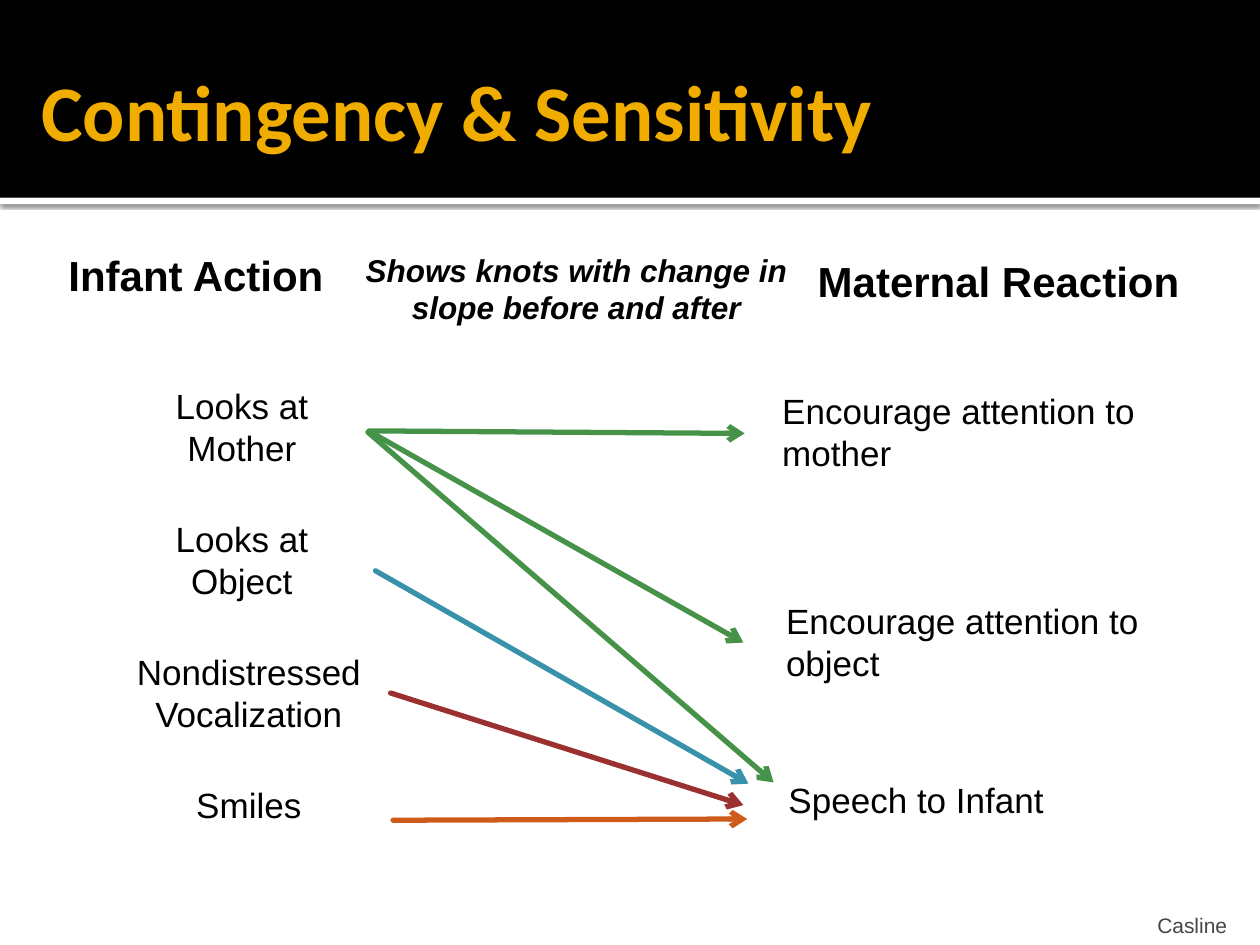
from dataclasses import dataclass

from lxml import etree
from pptx import Presentation
from pptx.dml.color import RGBColor
from pptx.enum.shapes import MSO_CONNECTOR, MSO_SHAPE
from pptx.enum.text import MSO_ANCHOR, PP_ALIGN
from pptx.oxml.ns import qn
from pptx.shapes.autoshape import Shape
from pptx.slide import Slide
from pptx.util import Inches, Pt

LEFT, CENTER, RIGHT = PP_ALIGN.LEFT, PP_ALIGN.CENTER, PP_ALIGN.RIGHT
TOP, MIDDLE, BOTTOM = MSO_ANCHOR.TOP, MSO_ANCHOR.MIDDLE, MSO_ANCHOR.BOTTOM
RECTANGLE = MSO_SHAPE.RECTANGLE
STRAIGHT = MSO_CONNECTOR.STRAIGHT

BLACK = RGBColor(0x00, 0x00, 0x00)
WHITE = RGBColor(0xFF, 0xFF, 0xFF)
GOLD = RGBColor(0xF0, 0xAD, 0x00)
GRAY = RGBColor(0x45, 0x45, 0x45)
GREEN = RGBColor(0x47, 0x92, 0x49)
BLUE = RGBColor(0x37, 0x92, 0xAA)
RED = RGBColor(0x9A, 0x31, 0x30)
ORANGE = RGBColor(0xCF, 0x5B, 0x1B)

SLIDE_WIDTH, SLIDE_HEIGHT = Inches(10), Inches(7.5)
GRID_COLUMNS, GRID_ROWS = 100, 75
BAND_ROWS = 15.7


@dataclass(frozen=True)
class Label:
    text: str
    column: float
    row: float
    columns: float
    rows: float
    size: int = 20
    align: PP_ALIGN = LEFT
    anchor: MSO_ANCHOR = TOP
    color: RGBColor = BLACK
    font: str = "Arial"
    bold: bool = False
    italic: bool = False
    insets: tuple[float, float, float, float] = (0.1, 0.05, 0.1, 0.05)


@dataclass(frozen=True)
class Arrow:
    start: tuple[float, float]
    end: tuple[float, float]
    color: RGBColor


LABELS = [
    Label("Contingency & Sensitivity", 2.3, 1.9, 90, 13.7, 45, anchor=MIDDLE,
          color=GOLD, font="Calibri", bold=True, insets=(0.1, 0.05, 0.05, 0.05)),
    Label("Casline", 37.7, 71.4, 60.2, 3, 12, RIGHT, BOTTOM, GRAY,
          insets=(0.05, 0.05, 0.05, 0)),
    Label("Infant Action", 4.3, 19.3, 22.5, 5, 24, CENTER, bold=True),
    Label("Shows knots with change in slope before and after",
          26.8, 19.4, 37.9, 7.1, 18, CENTER, bold=True, italic=True),
    Label("Maternal Reaction", 62.8, 19.8, 32.9, 5, 24, CENTER, bold=True),
    Label("Looks at Mother", 8.8, 30, 20.8, 7.7, align=CENTER),
    Label("Looks at Object", 8.8, 40.6, 20.8, 7.7, align=CENTER),
    Label("Nondistressed Vocalization", 8.5, 51.1, 22.5, 7.7, align=CENTER),
    Label("Smiles", 8.5, 61.7, 22.5, 4.4, align=CENTER),
    Label("Encourage attention to mother", 61.1, 30.4, 30.4, 7.7),
    Label("Encourage attention to object", 61.4, 47.1, 30.4, 7.7),
    Label("Speech to Infant", 61.6, 61.3, 30.4, 4.4),
]

ARROWS = [
    Arrow((29.3, 34.2), (59.1, 34.4), GREEN),
    Arrow((29.6, 34.4), (59, 51), GREEN),
    Arrow((29.2, 34.3), (61.4, 62.1), GREEN),
    Arrow((29.8, 45.3), (59.4, 62.2), BLUE),
    Arrow((31, 55), (59, 63.9), RED),
    Arrow((31.2, 65.1), (59.3, 65), ORANGE),
]


def across(columns: float) -> int:
    return round(SLIDE_WIDTH * columns / GRID_COLUMNS)


def down(rows: float) -> int:
    return round(SLIDE_HEIGHT * rows / GRID_ROWS)


def draw_band(slide: Slide, row: float, rows: float, color: RGBColor) -> Shape:
    shape = slide.shapes.add_shape(
        RECTANGLE, 0, down(row), SLIDE_WIDTH, down(rows))
    shape.shadow.inherit = False
    shape.fill.solid()
    shape.fill.fore_color.rgb = color
    shape.line.fill.background()
    return shape


def cast_shadow(shape: Shape) -> None:
    effects = shape._element.spPr.find(qn("a:effectLst"))
    shadow = etree.SubElement(
        effects, qn("a:outerShdw"), blurRad=str(Pt(2.5)), dist=str(Pt(0.8)),
        dir="5400000", algn="tl", rotWithShape="0")
    color = etree.SubElement(shadow, qn("a:srgbClr"), val=str(BLACK))
    etree.SubElement(color, qn("a:alpha"), val="60000")


def draw_label(slide: Slide, label: Label) -> None:
    box = slide.shapes.add_textbox(
        across(label.column), down(label.row),
        across(label.columns), down(label.rows))
    frame = box.text_frame
    frame.word_wrap = True
    frame.vertical_anchor = label.anchor
    (frame.margin_left, frame.margin_top,
     frame.margin_right, frame.margin_bottom) = map(Inches, label.insets)
    paragraph = frame.paragraphs[0]
    paragraph.text = label.text
    paragraph.alignment = label.align
    font = paragraph.font
    font.name = label.font
    font.size = Pt(label.size)
    font.bold = label.bold
    font.italic = label.italic
    font.color.rgb = label.color


def draw_arrow(slide: Slide, arrow: Arrow) -> None:
    connector = slide.shapes.add_connector(
        STRAIGHT, across(arrow.start[0]), down(arrow.start[1]),
        across(arrow.end[0]), down(arrow.end[1]))
    connector.line.color.rgb = arrow.color
    connector.line.width = Pt(3)
    properties = connector._element.spPr
    line = properties.find(qn("a:ln"))
    line.set("cap", "rnd")
    etree.SubElement(line, qn("a:tailEnd"), type="arrow")
    etree.SubElement(properties, qn("a:effectLst"))


def main() -> None:
    presentation = Presentation()
    presentation.slide_width = SLIDE_WIDTH
    presentation.slide_height = SLIDE_HEIGHT
    slide = presentation.slides.add_slide(presentation.slide_layouts[6])
    cast_shadow(draw_band(slide, BAND_ROWS, 0.5, WHITE))
    draw_band(slide, 0, BAND_ROWS, BLACK)
    for label in LABELS:
        draw_label(slide, label)
    for arrow in ARROWS:
        draw_arrow(slide, arrow)
    presentation.save("out.pptx")


if __name__ == "__main__":
    main()
